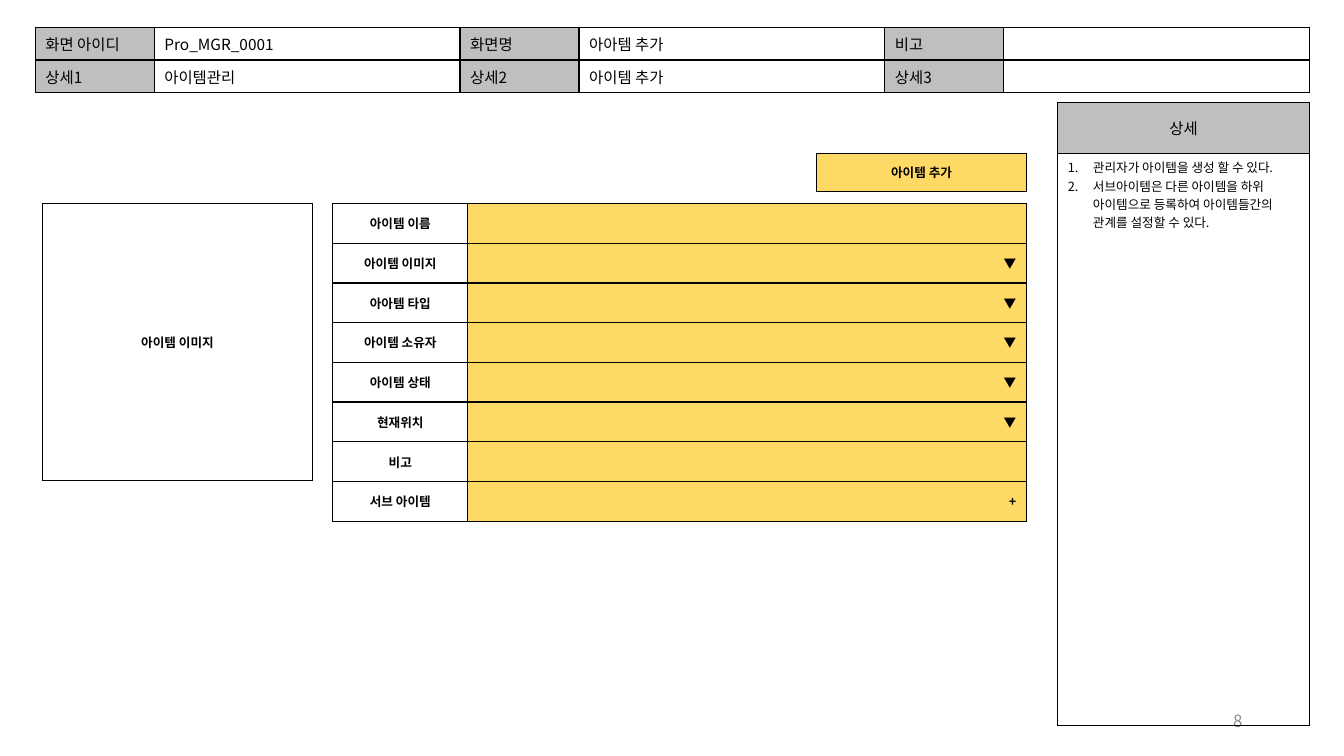
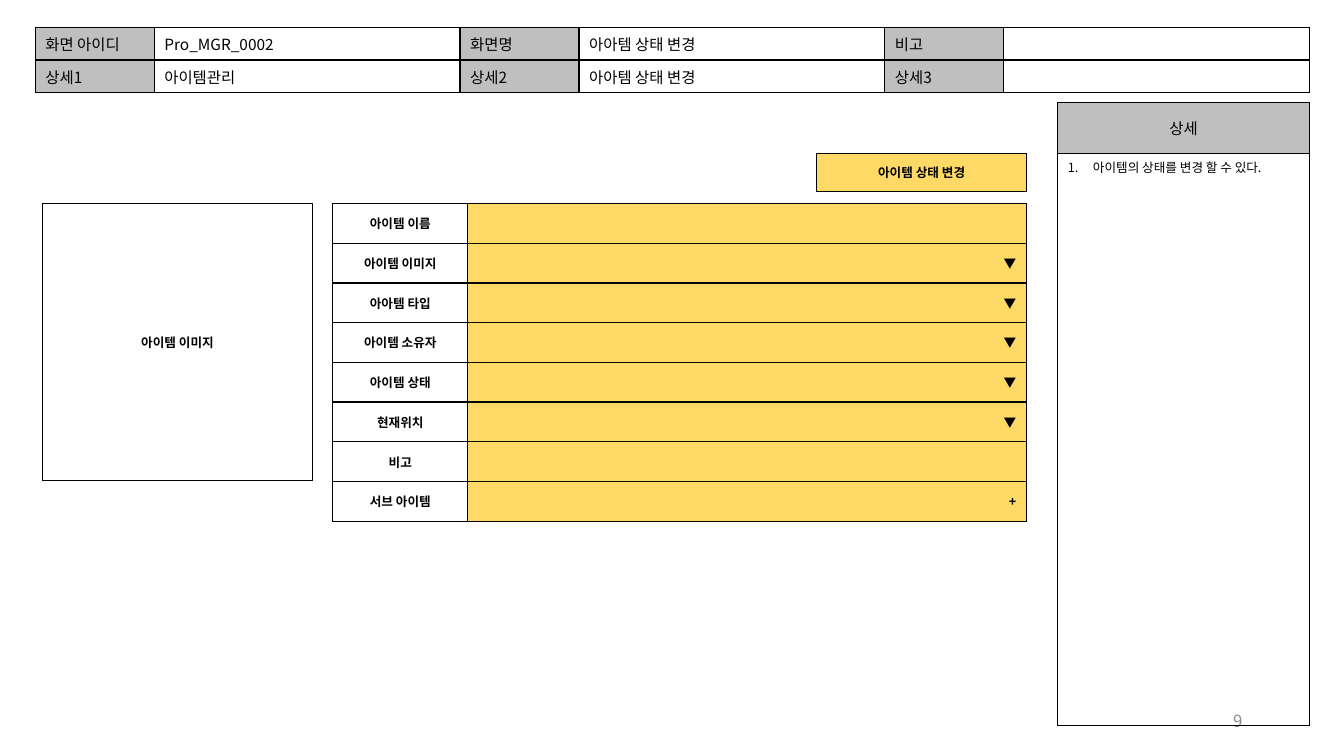
from dataclasses import dataclass

from lxml.etree import SubElement
from pptx import Presentation
from pptx.dml.color import RGBColor as RGB
from pptx.enum.text import MSO_ANCHOR as ANCHOR, PP_ALIGN as ALIGN
from pptx.oxml.ns import qn
from pptx.util import Inches, Pt


@dataclass(frozen=True)
class Theme:
    font: str = "Noto Sans CJK KR"
    ink: str = "000000"
    label: str = "BFBFBF"
    field: str = "FFD966"
    number: str = "8C8C8C"
    head: int = 11
    body: int = 9
    page: int = 12
    border: float = 1


T = Theme()
LABELS = [["화면 아이디", "화면명", "비고"], ["상세1", "상세2", "상세3"]]
FIELDS = [("아이템 이름", ""), ("아이템 이미지", "▼"), ("아아템 타입", "▼"),
          ("아이템 소유자", "▼"), ("아이템 상태", "▼"), ("현재위치", "▼"),
          ("비고", ""), ("서브 아이템", "+")]
SCREENS = [
    dict(page="8", button="아이템 추가",
         values=[["Pro_MGR_0001", "아아템 추가", ""],
                 ["아이템관리", "아이템 추가", ""]],
         notes=["관리자가 아이템을 생성 할 수 있다.",
                "서브아이템은 다른 아이템을 하위 아이템으로 등록하여 "
                "아이템들간의 관계를 설정할 수 있다."]),
    dict(page="9", button="아이템 상태 변경",
         values=[["Pro_MGR_0002", "아아템 상태 변경", ""],
                 ["아이템관리", "아아템 상태 변경", ""]],
         notes=["아이템의 상태를 변경 할 수 있다."]),
]


# Text and cell helpers
def write(p, text, size, bold=False, align=ALIGN.LEFT, color=T.ink):
    p.alignment = align
    if not text:  # keeps an empty cell from growing to the default size
        SubElement(p._p, qn("a:endParaRPr"), sz=str(size * 100))
        return
    r = p.add_run()
    r.text = text
    r.font.size, r.font.bold, r.font.name = Pt(size), bold, T.font
    r.font.color.rgb = RGB.from_string(color)
    SubElement(r._r.get_or_add_rPr(), qn("a:ea"), typeface=T.font)


def number(p):
    pPr = p._p.get_or_add_pPr()
    pPr.set("marL", str(Inches(0.25)))
    pPr.set("indent", str(Inches(-0.25)))
    SubElement(pPr, qn("a:buAutoNum"), type="arabicPeriod")


def style_cell(cell, fill=None):
    tcPr = cell._tc.get_or_add_tcPr()
    for side in ("lnL", "lnR", "lnT", "lnB"):
        ln = SubElement(tcPr, qn(f"a:{side}"), w=str(Pt(T.border)))
        SubElement(SubElement(ln, qn("a:solidFill")), qn("a:srgbClr"), val=T.ink)
    if fill:
        cell.fill.solid()
        cell.fill.fore_color.rgb = RGB.from_string(fill)
    else:
        cell.fill.background()


def fill_cell(cell, text, size, fill=None, **style):
    style_cell(cell, fill)
    cell.vertical_anchor = ANCHOR.MIDDLE
    write(cell.text_frame.paragraphs[0], text, size, **style)


def add_grid(s, x, y, widths, heights):
    tbl = s.shapes.add_table(len(heights), len(widths), Inches(x), Inches(y),
                             Inches(sum(widths)), Inches(sum(heights))).table
    tbl.first_row = tbl.horz_banding = False
    for col, w in zip(tbl.columns, widths):
        col.width = Inches(w)
    for row, h in zip(tbl.rows, heights):
        row.height = Inches(h)
    return tbl


# Screen information across the top
def add_header(s, x, y, w, h, values):
    label_w = 1.18
    tbl = add_grid(s, x, y, [label_w, w / 3 - label_w] * 3, [h / 2] * 2)
    for i, (names, row) in enumerate(zip(LABELS, values)):
        for j, (name, value) in enumerate(zip(names, row)):
            fill_cell(tbl.cell(i, 2 * j), name, T.head, T.label)
            fill_cell(tbl.cell(i, 2 * j + 1), value, T.head)


def add_page_number(s, x, y, w, h, page):
    tf = s.shapes.add_textbox(Inches(x), Inches(y), Inches(w), Inches(h)).text_frame
    tf.word_wrap = True
    tf.vertical_anchor = ANCHOR.MIDDLE
    write(tf.paragraphs[0], page, T.page, align=ALIGN.RIGHT, color=T.number)


# Numbered notes on the right
def add_details(s, x, y, w, h, notes):
    head_h = 0.5
    tbl = add_grid(s, x, y, [w], [head_h, h - head_h])
    fill_cell(tbl.cell(0, 0), "상세", T.head, T.label, align=ALIGN.CENTER)
    body = tbl.cell(1, 0)
    style_cell(body)
    tf = body.text_frame
    for i, note in enumerate(notes):
        p = tf.add_paragraph() if i else tf.paragraphs[0]
        write(p, note, T.body)
        number(p)


# Single framed label: image area or button
def add_box(s, x, y, w, h, text, fill=None):
    tbl = add_grid(s, x, y, [w], [h])
    fill_cell(tbl.cell(0, 0), text, T.body, fill, bold=True, align=ALIGN.CENTER)


# Item input form
def add_form(s, x, y, w, h):
    label_w = 1.34
    tbl = add_grid(s, x, y, [label_w, w - label_w], [h / len(FIELDS)] * len(FIELDS))
    for i, (name, mark) in enumerate(FIELDS):
        fill_cell(tbl.cell(i, 0), name, T.body, bold=True, align=ALIGN.CENTER)
        fill_cell(tbl.cell(i, 1), mark, T.body, T.field, bold=True, align=ALIGN.RIGHT)


def add_screen(prs, page, button, values, notes):
    s = prs.slides.add_slide(prs.slide_layouts[6])
    add_header(s, 0.35, 0.27, 12.64, 0.65, values)
    add_page_number(s, 9.42, 6.95, 3, 0.4, page)
    add_details(s, 10.49, 1.02, 2.5, 6.18, notes)
    add_box(s, 0.42, 2.02, 2.68, 2.75, "아이템 이미지")
    add_form(s, 3.3, 2.02, 6.88, 3.15)
    add_box(s, 8.1, 1.52, 2.08, 0.38, button, T.field)


prs = Presentation()
prs.slide_width, prs.slide_height = Inches(13.33), Inches(7.5)
for screen in SCREENS:
    add_screen(prs, **screen)
prs.save("out.pptx")
